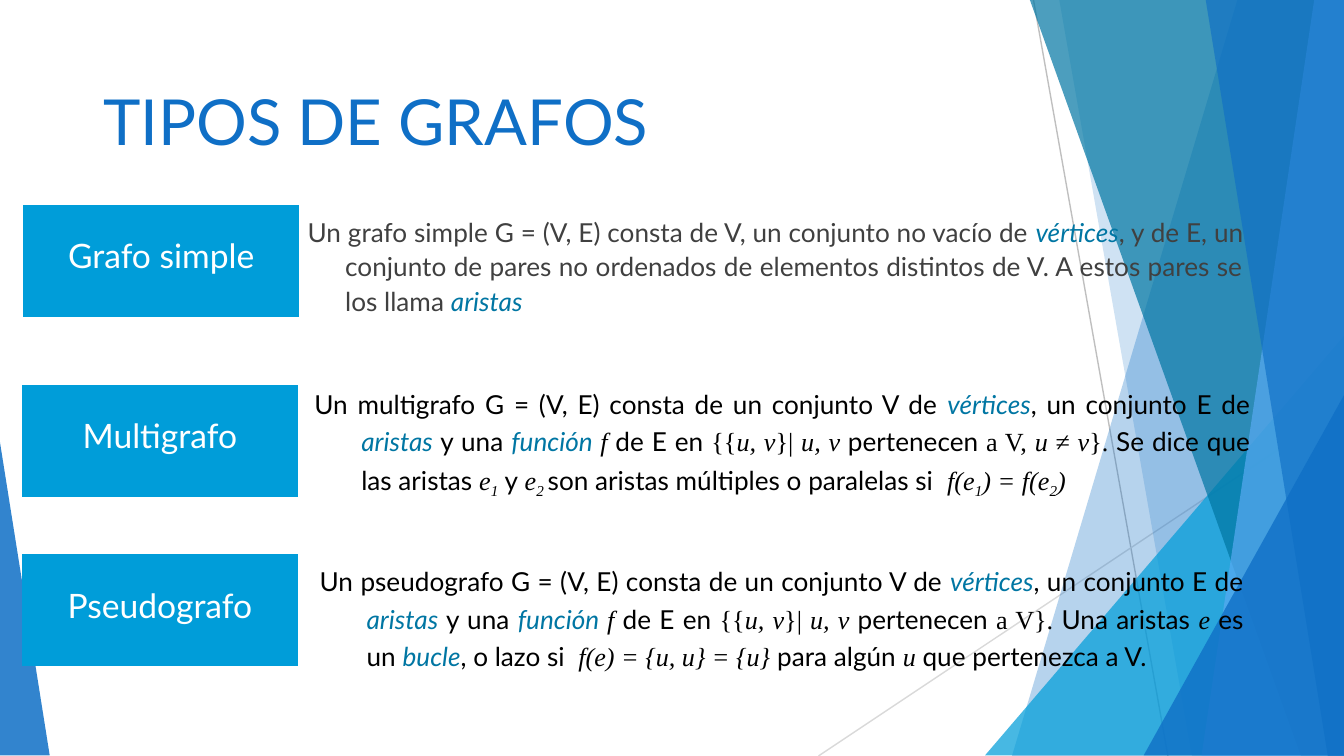
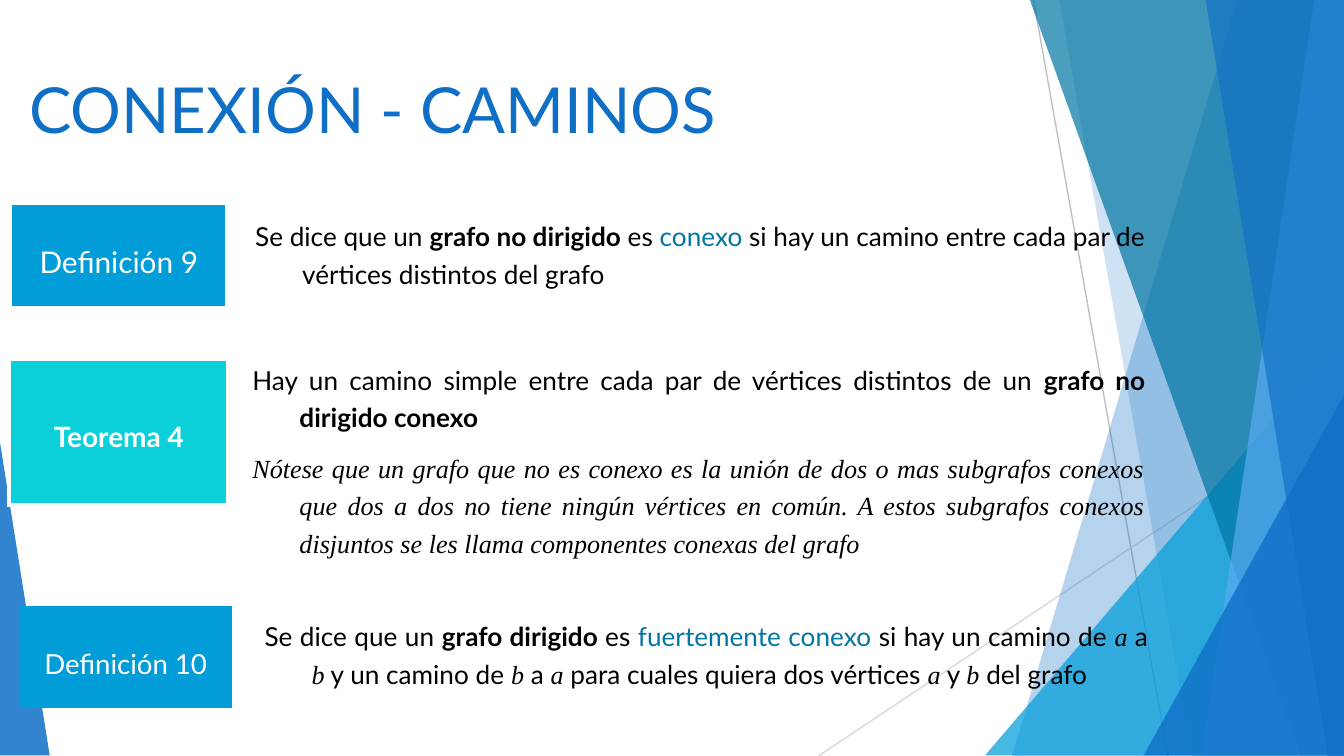
"""Build two slides on graph types and connectivity over a shared faceted background."""
from lxml import etree
from pptx import Presentation
from pptx.dml.color import RGBColor
from pptx.enum.shapes import MSO_CONNECTOR, MSO_SHAPE
from pptx.enum.text import MSO_ANCHOR, PP_ALIGN
from pptx.oxml.ns import qn
from pptx.util import Inches, Pt

STRAIGHT = MSO_CONNECTOR.STRAIGHT
RECTANGLE, TRIANGLE = MSO_SHAPE.RECTANGLE, MSO_SHAPE.ISOSCELES_TRIANGLE
TOP, MIDDLE, BOTTOM = MSO_ANCHOR.TOP, MSO_ANCHOR.MIDDLE, MSO_ANCHOR.BOTTOM
CENTER, JUSTIFY = PP_ALIGN.CENTER, PP_ALIGN.JUSTIFY

BLUE, CYAN, TEAL, SKY, AQUA = "0F6FC6", "009DD9", "0076A3", "59AAF2", "0BD0D9"
WHITE, BLACK, GRAY = "FFFFFF", "000000", "404040"
SANS, SERIF = "Lato", "Times New Roman"
WIDTH = 10
HEIGHT = WIDTH * 9 / 16

STYLES = {
    "plain": (SANS, BLACK, False, False, False),
    "gray": (SANS, GRAY, False, False, False),
    "bold": (SANS, BLACK, True, False, False),
    "teal": (SANS, TEAL, False, False, False),
    "term": (SANS, TEAL, False, True, False),
    "roman": (SERIF, BLACK, False, False, False),
    "math": (SERIF, BLACK, False, True, False),
    "sub": (SERIF, BLACK, False, True, True),
    "title": (SANS, BLUE, False, False, False),
    "label": (SANS, WHITE, False, False, False),
    "strong label": (SANS, WHITE, True, False, False),
}

LINES = [(7.69, 0, 8.69, HEIGHT, "BFBFBF"), (10, 3.02, 6.09, HEIGHT, "D9D9D9")]

FACETS = [
    ((9.21, 7.53), BLUE, 30),
    ((7.88, 8.87), BLUE, 20),
    ((7.33, 2.5, 2.67, 3.12, 1), CYAN, 72),
    ((7.66, 9.68), TEAL, 70),
    ((9.78, 8.94), SKY, 70),
    ((8.97, 9.88), BLUE, 65),
    ((8.51, 2.94, 1.49, 2.68, 1), BLUE, 80),
    ((0, 3.29, 0.37, 2.33, 0), BLUE, 85),
]

PAIR_DEFINITION = [
    (" G = (V, E) consta de un conjunto V de ", "plain"), ("vértices", "term"),
    (", un conjunto E de ", "plain"), ("aristas", "term"), (" y una ", "plain"),
    ("función ", "term"), ("f", "math"), (" de E en ", "plain"), ("{{", "roman"),
    ("u, v", "math"), ("}| ", "roman"), ("u, v ", "math"), ("pertenecen", "plain"),
]
SIMPLE = [
    ("Un grafo simple G = (V, E) consta de V, un conjunto no vacío de ", "gray"),
    ("vértices", "term"),
    (", y de E, un conjunto de pares no ordenados de elementos distintos de V. "
     "A estos pares se los llama ", "gray"),
    ("aristas", "term"),
]
MULTIGRAPH = [("Un multigrafo", "plain"), *PAIR_DEFINITION,
    (" a V, ", "roman"), ("u ", "math"), ("≠ ", "roman"), ("v", "math"), ("}. ", "roman"),
    ("Se dice que las aristas ", "plain"), ("e", "math"), ("1", "sub"), (" y", "plain"),
    (" e", "math"), ("2 ", "sub"), ("son aristas múltiples o paralelas si  ", "plain"),
    ("f(e", "math"), ("1", "sub"), (") = f(e", "math"), ("2", "sub"), (")", "math"),
]
PSEUDOGRAPH = [("Un pseudografo", "plain"), *PAIR_DEFINITION,
    (" a V}. ", "roman"), ("Una aristas ", "plain"), ("e ", "math"), ("es un ", "plain"),
    ("bucle", "term"), (", o lazo si  ", "plain"), ("f(e) = {u, u} = {u} ", "math"),
    ("para algún ", "plain"), ("u", "math"), (" que pertenezca a V.", "plain"),
]
CONNECTED = [
    ("Se dice que un ", "plain"), ("grafo no dirigido ", "bold"), ("es ", "plain"),
    ("conexo", "teal"),
    (" si hay un camino entre cada par de vértices distintos del grafo", "plain"),
]
THEOREM = [
    ("Hay un camino simple entre cada par de vértices distintos de un", "plain"),
    (" grafo no dirigido conexo", "bold"),
]
REMARK = [
    ("Nótese que un grafo que no es conexo es la unión de dos o mas subgrafos conexos "
     "que dos a dos no tiene ningún vértices en común. A estos subgrafos conexos "
     "disjuntos se les llama componentes conexas del grafo", "math"),
]
STRONGLY_CONNECTED = [
    ("Se dice que un ", "plain"), ("grafo dirigido ", "bold"), ("es ", "plain"),
    ("fuertemente conexo", "teal"), (" si hay un camino de ", "plain"), ("a ", "math"),
    ("a ", "plain"), ("b", "math"), (" y un camino de ", "plain"), ("b", "math"),
    (" a ", "plain"), ("a", "math"), (" para cuales quiera dos vértices ", "plain"),
    ("a", "math"), (" y ", "plain"), ("b", "math"), (" del grafo", "plain"),
]

SLIDES = [
    ("TIPOS DE GRAFOS", (0.67, 0.08), [
        ("Grafo simple", (0.2, 1.55, 2, 0.78), 18, "label", TOP, CYAN, CYAN, 4, 1),
        ("Multigrafo", (0.19, 2.89, 2, 0.78), 18, "label", TOP, CYAN, CYAN, 4, 1),
        ("Pseudografo", (0.19, 4.15, 2, 0.78), 18, "label", TOP, CYAN, CYAN, 4, 1),
    ], [
        ((2.19, 1.5, 7.16, 0.94), [SIMPLE], 0.28, 1.1, 7.5),
        ((2.24, 2.69, 7.16, 1.18), [MULTIGRAPH], 0.35, 1.2, 7),
        ((2.28, 3.99, 7.07, 1.18), [PSEUDOGRAPH], 0.35, 1.2, 7),
    ]),
    ("CONEXIÓN - CAMINOS", (0.12, -0.01), [
        ("Definición 9", (0.12, 1.55, 1.53, 0.7), 16, "label", MIDDLE, CYAN, CYAN, 4, 1),
        ("Teorema 4", (0.07, 2.67, 1.63, 1.09), 15, "strong label", MIDDLE,
         AQUA, WHITE, 2, 0.9),
        ("Definición 10", (0.17, 4.54, 1.53, 0.7), 14.8, "label", MIDDLE, CYAN, CYAN, 4, 1),
    ], [
        ((1.8, 1.29, 6.82, 1.17), [CONNECTED], 0.35, 1.2, 7),
        ((1.78, 2.59, 6.84, 1.64), [THEOREM, REMARK], 0.35, 1.2, 7),
        ((1.87, 4.42, 6.77, 0.86), [STRONGLY_CONNECTED], 0.35, 1.2, 7),
    ]),
]


def paint(color_format, color):
    color_format.rgb = RGBColor.from_string(color)


def write(para, pieces, size):
    for text, style in pieces:
        font, color, bold, italic, subscript = STYLES[style]
        span = para.add_run()
        span.text = text
        span.font.name, span.font.size = font, Pt(size)
        span.font.bold, span.font.italic = bold, italic
        paint(span.font.color, color)
        if subscript:
            span._r.get_or_add_rPr().set("baseline", "-25000")


deck = Presentation()
deck.slide_width, deck.slide_height = Inches(WIDTH), Inches(HEIGHT)

for title, title_corner, labels, bodies in SLIDES:
    page = deck.slides.add_slide(deck.slide_layouts[6])

    for *ends, color in LINES:
        line = page.shapes.add_connector(STRAIGHT, *map(Inches, ends))
        line.line.width = Pt(0.75)
        paint(line.line.color, color)
        etree.SubElement(line._element.spPr, qn("a:effectLst"))

    for outline, color, opacity in FACETS:
        if len(outline) == 2:
            top_x, bottom_x = outline
            builder = page.shapes.build_freeform(Inches(top_x), Inches(-0.01))
            corners = [(WIDTH, -0.01), (WIDTH, HEIGHT), (bottom_x, HEIGHT)]
            builder.add_line_segments([(Inches(x), Inches(y)) for x, y in corners])
            facet = builder.convert_to_shape()
        else:
            *frame, apex = outline
            facet = page.shapes.add_shape(TRIANGLE, *map(Inches, frame))
            facet.adjustments[0] = apex
        facet.shadow.inherit = False
        facet.line.fill.background()
        facet.fill.solid()
        paint(facet.fill.fore_color, color)
        shade = facet._element.spPr.find(qn("a:solidFill")).find(qn("a:srgbClr"))
        etree.SubElement(shade, qn("a:alpha")).set("val", str(opacity * 1000))

    box = page.shapes.add_textbox(*map(Inches, (*title_corner, 8.83, 1.15)))
    box.text_frame.word_wrap = True
    box.text_frame.vertical_anchor = BOTTOM
    write(box.text_frame.paragraphs[0], [(title, "title")], 34)

    for frame, paragraphs, indent, spacing, before in bodies:
        box = page.shapes.add_textbox(*map(Inches, frame))
        box.text_frame.word_wrap = True
        box.text_frame.vertical_anchor = MIDDLE
        for index, pieces in enumerate(paragraphs):
            para = box.text_frame.add_paragraph() if index else box.text_frame.paragraphs[0]
            para.alignment, para.line_spacing = JUSTIFY, spacing
            para.space_before = Pt(before)
            properties = para._p.get_or_add_pPr()
            properties.set("marL", str(Inches(indent)))
            properties.set("indent", str(-Inches(indent)))
            write(para, pieces, 14)

    for text, frame, size, style, anchor, fill, border, weight, spacing in labels:
        label = page.shapes.add_shape(RECTANGLE, *map(Inches, frame))
        label.shadow.inherit = False
        label.fill.solid()
        paint(label.fill.fore_color, fill)
        label.line.width = Pt(weight)
        paint(label.line.color, border)
        outline = label._element.spPr.find(qn("a:ln"))
        etree.SubElement(outline, qn("a:miter")).set("lim", "800000")
        words = label.text_frame
        words.word_wrap, words.vertical_anchor = True, anchor
        words.margin_left = words.margin_right = Inches(0.15)
        words.margin_top, words.margin_bottom = Inches(0.2), Inches(0.1)
        para = words.paragraphs[0]
        para.alignment, para.line_spacing = CENTER, spacing
        para.space_before, para.space_after = Pt(7), Pt(10)
        write(para, [(text, style)], size)

deck.save("out.pptx")
